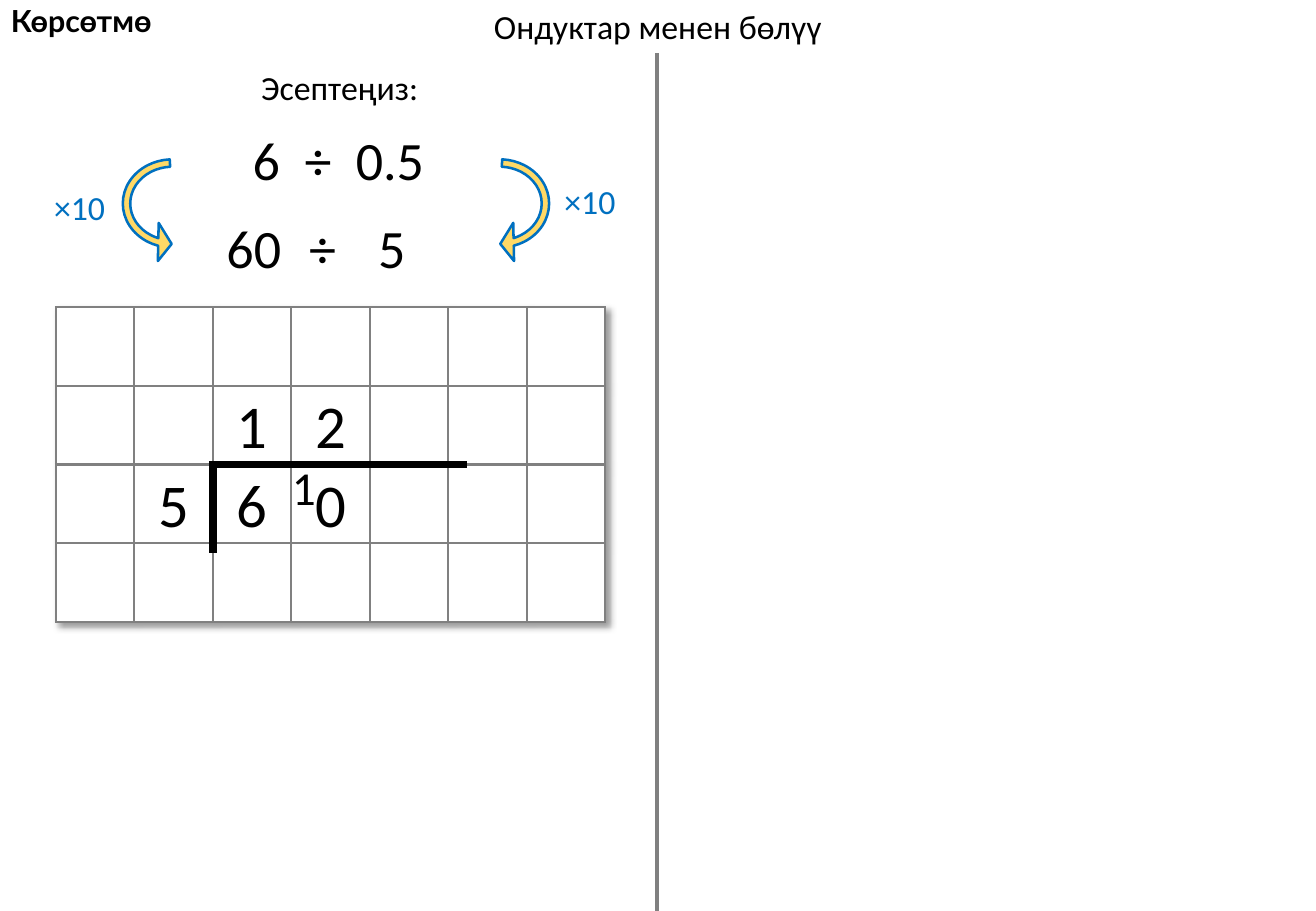
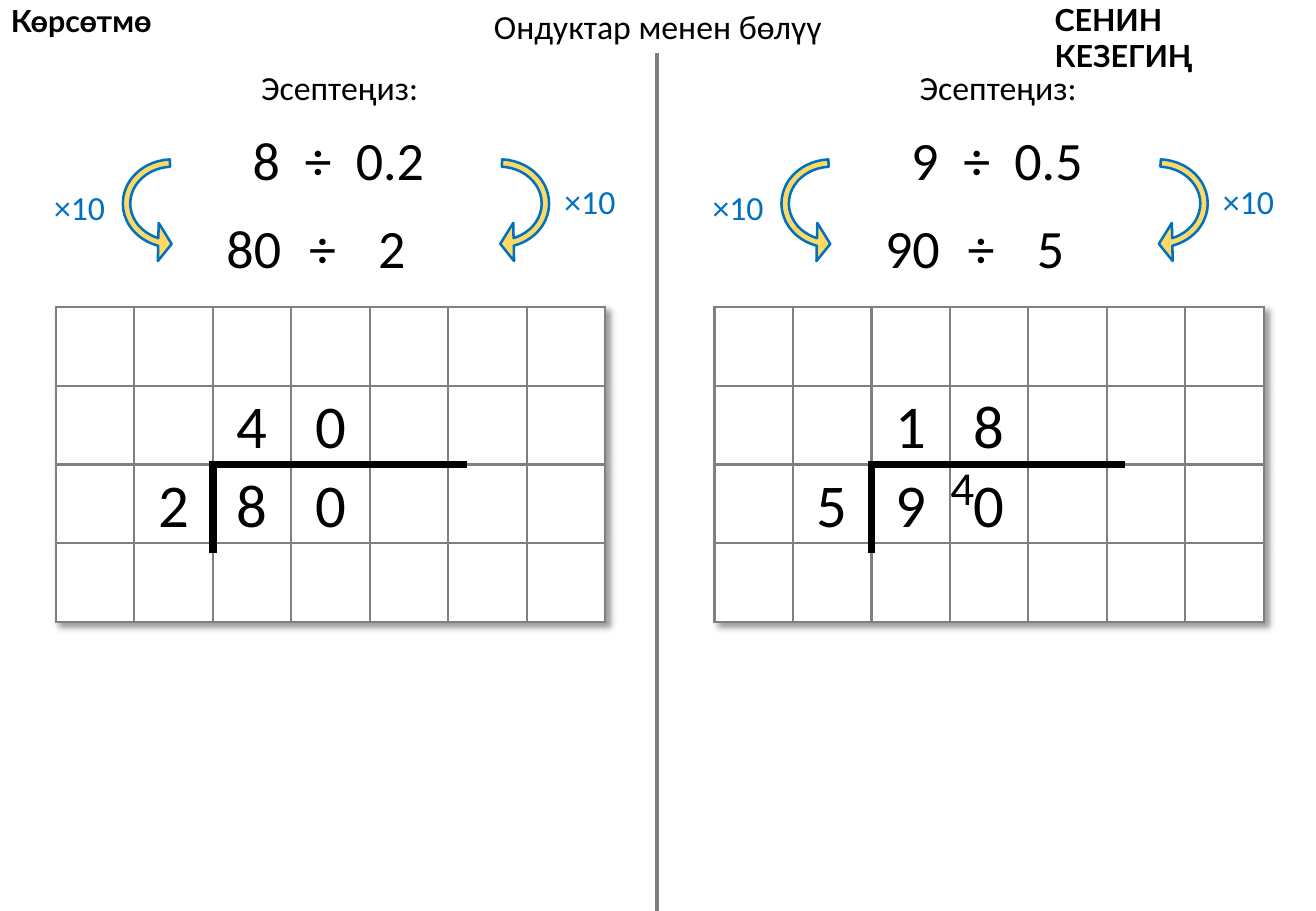
from dataclasses import dataclass

from lxml import etree
from pptx import Presentation
from pptx.dml.color import RGBColor
from pptx.enum.shapes import MSO_CONNECTOR, MSO_SHAPE
from pptx.enum.text import MSO_ANCHOR, MSO_AUTO_SIZE, PP_ALIGN
from pptx.oxml import parse_xml
from pptx.oxml.ns import nsdecls, qn
from pptx.util import Inches, Pt

LEFT, CENTER = PP_ALIGN.LEFT, PP_ALIGN.CENTER
TOP = MSO_ANCHOR.TOP
GROW = MSO_AUTO_SIZE.SHAPE_TO_FIT_TEXT
STRAIGHT = MSO_CONNECTOR.STRAIGHT
CURVED_ARROW = MSO_SHAPE.CIRCULAR_ARROW


@dataclass(frozen=True)
class Theme:
    black: str = "000000"
    white: str = "FFFFFF"
    gray: str = "808080"
    blue: str = "0070C0"
    yellow: str = "FFD966"
    body_font: str = "Calibri"
    label_font: str = "Lato"
    label_size: int = 18
    text_size: int = 20
    carry_size: int = 28
    equation_size: int = 32
    digit_size: int = 36
    divider_width: float = 2.25
    grid_width: float = 1.5
    bracket_width: float = 4.5


THEME = Theme()

TITLE = "Ондуктар менен бөлүү"
PROMPT = "Эсептеңиз:"
FACTOR = "×10"
TEACHER_LABEL = "Көрсөтмө"
PUPIL_LABEL = "СЕНИН КЕЗЕГИҢ"

SLIDES = [
    [dict(dividend="6", divisor="0.5", scaled=("60", "5"), quotient="12", carry="1")],
    [
        dict(dividend="8", divisor="0.2", scaled=("80", "2"), quotient="40", carry=""),
        dict(dividend="9", divisor="0.5", scaled=("90", "5"), quotient="18", carry="4"),
    ],
]

SLIDE_SIZE = (10.83, 7.5)
PANE_WIDTH = 5.42
GRID_LEFT, GRID_TOP, GRID_WIDTH, GRID_HEIGHT = 0.46, 2.53, 4.52, 2.59
COLUMNS, ROWS = 7, 4
CELL_WIDTH, CELL_HEIGHT = GRID_WIDTH / COLUMNS, GRID_HEIGHT / ROWS
DIGIT_WIDTH, DIGIT_HEIGHT = 0.46, 0.71
EQUATION_TABS = (0.43, 0.85)
ARROW_ADJUSTMENTS = (0.062, 11.423, 203.847, 110.164, 0.16)
ARROWS = [(3.62, False), (0.93, True)]
FACTORS = [(4.54, 1.44), (0.34, 1.49)]


def color(value):
    return RGBColor.from_string(value)


def write(shape, text, size, ink=THEME.black, font=THEME.body_font,
          bold=False, align=CENTER, wrap=False, tabs=()):
    frame = shape.text_frame
    frame.word_wrap = wrap
    frame.auto_size = GROW
    frame.vertical_anchor = TOP
    paragraph = frame.paragraphs[0]
    paragraph.alignment = align
    if tabs:
        tab_list = etree.SubElement(paragraph._p.get_or_add_pPr(), qn("a:tabLst"))
        for position in tabs:
            etree.SubElement(tab_list, qn("a:tab"), pos=str(Inches(position)), algn="l")
    run = paragraph.add_run()
    run.text = text
    run.font.name = font
    run.font.size = Pt(size)
    run.font.bold = bold
    run.font.color.rgb = color(ink)


def add_text(slide, box, text, size, **style):
    write(slide.shapes.add_textbox(*map(Inches, box)), text, size, **style)


def add_line(slide, start, end, ink, width):
    line = slide.shapes.add_connector(STRAIGHT, *map(Inches, (*start, *end)))
    line.line.color.rgb = color(ink)
    line.line.width = Pt(width)
    etree.SubElement(line._element.spPr, qn("a:effectLst"))


def add_grid(slide, left):
    frame = slide.shapes.add_table(
        ROWS, COLUMNS, *map(Inches, (left, GRID_TOP, GRID_WIDTH, GRID_HEIGHT)))
    table = frame.table
    table.first_row = table.horz_banding = False
    table._tbl.tblPr.insert(0, parse_xml(
        f'<a:effectLst {nsdecls("a")}><a:outerShdw blurRad="50800" dist="38100" '
        f'dir="2700000" algn="tl" rotWithShape="0"><a:srgbClr val="{THEME.black}">'
        '<a:alpha val="40000"/></a:srgbClr></a:outerShdw></a:effectLst>'))
    for column in table.columns:
        column.width = Inches(CELL_WIDTH)
    for row in table.rows:
        row.height = Inches(CELL_HEIGHT)
    for cell in table.iter_cells():
        cell.fill.solid()
        cell.fill.fore_color.rgb = color(THEME.white)
        properties = cell._tc.get_or_add_tcPr()
        for index, side in enumerate("LRTB"):
            properties.insert(index, parse_xml(
                f'<a:ln{side} {nsdecls("a")} w="{Pt(THEME.grid_width)}"><a:solidFill>'
                f'<a:srgbClr val="{THEME.gray}"/></a:solidFill></a:ln{side}>'))


def add_arrow(slide, left, flipped):
    arrow = slide.shapes.add_shape(CURVED_ARROW, *map(Inches, (left, 1.14, 0.98, 1.07)))
    arrow.shadow.inherit = False
    arrow.rotation = 90
    for index, value in enumerate(ARROW_ADJUSTMENTS):
        arrow.adjustments[index] = value
    if flipped:
        arrow._element.spPr.get_or_add_xfrm().set("flipV", "1")
    arrow.fill.solid()
    arrow.fill.fore_color.rgb = color(THEME.yellow)
    arrow.line.color.rgb = color(THEME.blue)
    arrow.line.width = Pt(THEME.grid_width)


def add_digit(slide, pane_left, column, row, digit):
    left = pane_left + GRID_LEFT + (column + 0.5) * CELL_WIDTH - DIGIT_WIDTH / 2
    top = GRID_TOP + (row + 0.5) * CELL_HEIGHT - DIGIT_HEIGHT / 2
    add_text(slide, (left, top, DIGIT_WIDTH, DIGIT_HEIGHT), digit, THEME.digit_size)


def add_division(slide, pane_left, problem):
    scaled_dividend, scaled_divisor = problem["scaled"]
    add_grid(slide, pane_left + GRID_LEFT)
    corner_x = pane_left + GRID_LEFT + 2 * CELL_WIDTH
    corner_y = GRID_TOP + 2 * CELL_HEIGHT
    for start, end in [
        ((corner_x - 0.03, corner_y), (corner_x + 2.09, corner_y)),
        ((corner_x, corner_y), (corner_x, corner_y + 0.73)),
    ]:
        add_line(slide, start, end, THEME.black, THEME.bracket_width)

    add_digit(slide, pane_left, 1, 2, scaled_divisor)
    for row, digits in [(1, problem["quotient"]), (2, scaled_dividend)]:
        for column, digit in enumerate(digits, start=2):
            add_digit(slide, pane_left, column, row, digit)
    if problem["carry"]:
        add_text(slide, (pane_left + 2.3, 3.72, 0.4, 0.57),
                 problem["carry"], THEME.carry_size)


def add_problem(slide, pane_left, problem):
    add_text(slide, (pane_left + 2.04, 0.5, 1.51, 0.44), PROMPT, THEME.text_size)
    equation = "\t".join((problem["dividend"], "÷", problem["divisor"]))
    add_text(slide, (pane_left + 1.98, 0.99, 1.63, 0.64), equation,
             THEME.equation_size, align=LEFT, tabs=EQUATION_TABS)
    scaled_dividend, scaled_divisor = problem["scaled"]
    for left, width, text in [
        (1.76, 0.66, scaled_dividend), (2.44, 0.43, "÷"), (3.01, 0.43, scaled_divisor),
    ]:
        add_text(slide, (pane_left + left, 1.72, width, 0.64), text, THEME.equation_size)
    for left, flipped in ARROWS:
        add_arrow(slide, pane_left + left, flipped)
    for left, top in FACTORS:
        add_text(slide, (pane_left + left, top, 0.63, 0.44), FACTOR,
                 THEME.text_size, ink=THEME.blue)
    add_division(slide, pane_left, problem)


def add_slide(presentation, problems):
    slide = presentation.slides.add_slide(presentation.slide_layouts[5])
    title = slide.shapes.title
    title.left, title.top, title.width, title.height = map(Inches, (3.95, 0, 2.93, 0.44))
    write(title, TITLE, THEME.text_size)
    add_line(slide, (5.41, 0.44), (5.41, 7.5), THEME.gray, THEME.divider_width)
    labels = [
        (TEACHER_LABEL, (-0.01, -0.03, 1.38, 0.4), False),
        (PUPIL_LABEL, (8.58, -0.04, 2.2, 0.71), True),
    ]
    for index, (problem, (label, box, wrap)) in enumerate(zip(problems, labels)):
        add_problem(slide, index * PANE_WIDTH, problem)
        add_text(slide, box, label, THEME.label_size, font=THEME.label_font,
                 bold=True, align=LEFT, wrap=wrap)


def main():
    presentation = Presentation()
    presentation.slide_width, presentation.slide_height = map(Inches, SLIDE_SIZE)
    for problems in SLIDES:
        add_slide(presentation, problems)
    presentation.save("out.pptx")


if __name__ == "__main__":
    main()
